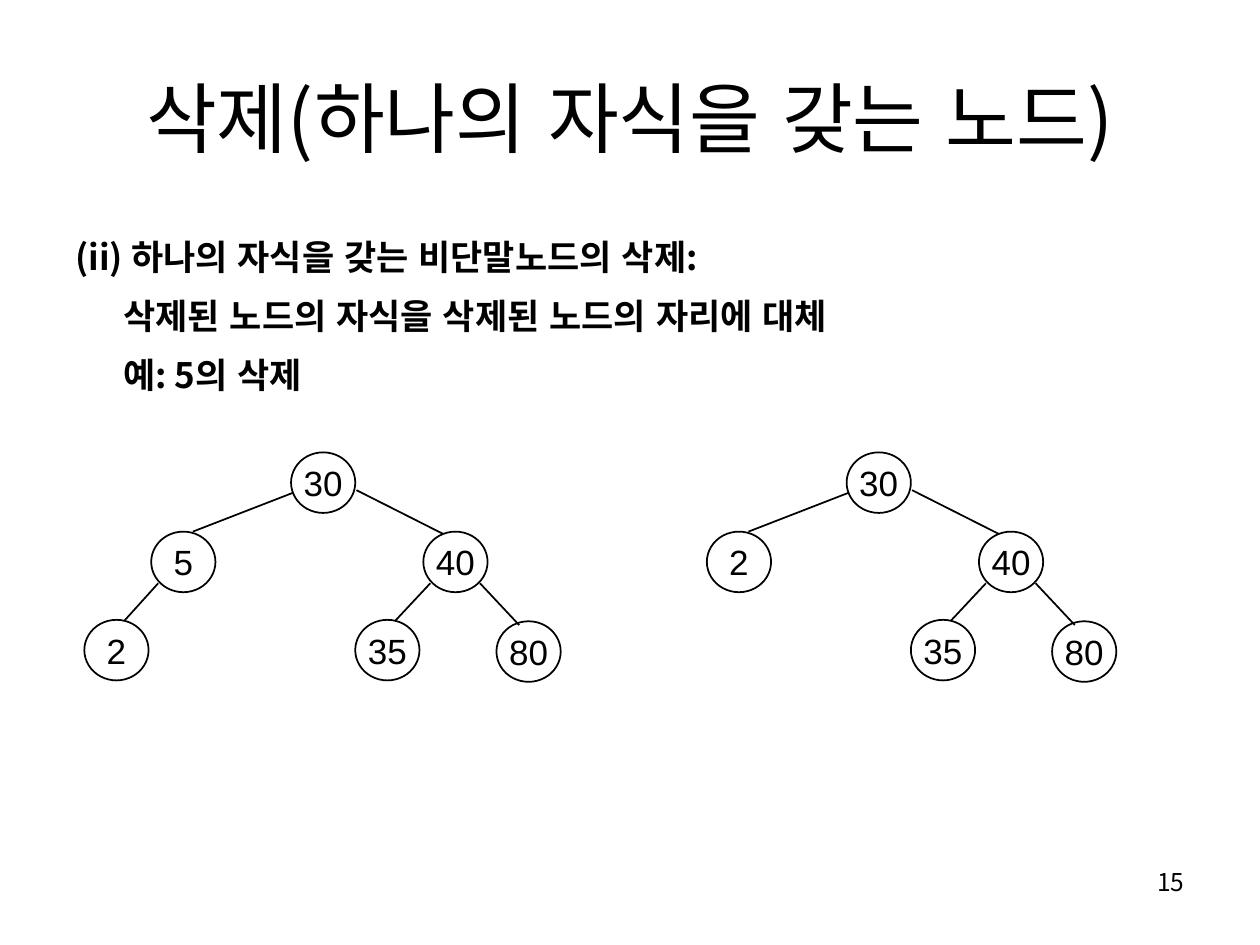
from lxml import etree
from pptx import Presentation
from pptx.dml.color import RGBColor
from pptx.enum.lang import MSO_LANGUAGE_ID
from pptx.enum.shapes import MSO_CONNECTOR, MSO_SHAPE
from pptx.enum.text import MSO_ANCHOR, PP_ALIGN
from pptx.oxml.ns import qn
from pptx.util import Pt

BLACK = RGBColor(0, 0, 0)
KOREAN_FONT, NODE_FONT = "Noto Sans CJK KR", "Arial"
KOREAN = MSO_LANGUAGE_ID.KOREAN
LEFT, CENTER, RIGHT = PP_ALIGN.LEFT, PP_ALIGN.CENTER, PP_ALIGN.RIGHT
TOP, MIDDLE = MSO_ANCHOR.TOP, MSO_ANCHOR.MIDDLE
ELLIPSE, STRAIGHT = MSO_SHAPE.OVAL, MSO_CONNECTOR.STRAIGHT

TITLE = "삭제(하나의 자식을 갖는 노드)"
BODY = [
    "(ii) 하나의 자식을 갖는 비단말노드의 삭제:",
    "삭제된 노드의 자식을 삭제된 노드의 자리에 대체",
    "예: 5의 삭제",
]
PAGE_NUMBER = "15"
BODY_INDENT = 27.4

# Slots are numbered as in a heap: the parent of slot n is n // 2.
TREES = [
    {1: "30", 2: "5", 3: "40", 4: "2", 6: "35", 7: "80"},
    {1: "30", 2: "2", 3: "40", 6: "35", 7: "80"},
]
TREE_STEP = 317.5
NODE_W, NODE_H = 36.7, 34.6
SLOT_POS = {1: (166.3, 258.5), 2: (86.4, 303.8), 3: (241.9, 303.8),
            4: (48.2, 354.2), 6: (203, 354.2), 7: (283.7, 355)}
# (parent is root, child is on the right): offsets within parent and child
EDGE_ENDS = {
    (True, False): ((1.4, 23), (23.8, 0)),
    (True, True): ((37.4, 21.6), (11.5, 1.4)),
    (False, False): ((4, 29.5), (22.7, 0.7)),
    (False, True): ((32.4, 29.5), (13, 2.2)),
}


def format_run(r, name, size, bold=False):
    formats = {"name": name, "size": Pt(size), "bold": bold}
    if name == KOREAN_FONT:
        formats["language_id"] = KOREAN
    for key, value in formats.items():
        setattr(r.font, key, value)
    r.font.color.rgb = BLACK
    etree.SubElement(r.font._element, qn("a:ea")).set("typeface", name)


def add_text(s, box, lines, size, align=LEFT, anchor=TOP, bold=False):
    tf = s.shapes.add_textbox(*map(Pt, box)).text_frame
    tf.word_wrap, tf.vertical_anchor = True, anchor
    for i, line in enumerate(lines):
        p = tf.add_paragraph() if i else tf.paragraphs[0]
        p.alignment = align
        r = p.add_run()
        r.text = line
        format_run(r, KOREAN_FONT, size, bold)
    return tf


def add_node(group, x, y, label):
    sp = group.shapes.add_shape(ELLIPSE, Pt(x), Pt(y), Pt(NODE_W), Pt(NODE_H))
    sp.shadow.inherit = False
    sp.fill.background()
    sp.line.color.rgb, sp.line.width = BLACK, Pt(1)
    tf = sp.text_frame
    tf.word_wrap, tf.vertical_anchor = False, MIDDLE
    p = tf.paragraphs[0]
    p.alignment = CENTER
    r = p.add_run()
    r.text = label
    format_run(r, NODE_FONT, 20)


def add_edge(group, start, end):
    line = group.shapes.add_connector(STRAIGHT, *map(Pt, start + end))
    line.line.color.rgb, line.line.width = BLACK, Pt(1)
    etree.SubElement(line._element.spPr, qn("a:effectLst"))


def add_tree(s, labels, dx):
    group = s.shapes.add_group_shape()
    for slot, label in labels.items():
        x, y = SLOT_POS[slot]
        add_node(group, x + dx, y, label)
        parent = slot // 2
        if parent:
            px, py = SLOT_POS[parent]
            (ax, ay), (bx, by) = EDGE_ENDS[parent == 1, slot % 2 == 1]
            add_edge(group, (px + ax + dx, py + ay), (x + bx + dx, y + by))


def main():
    prs = Presentation()
    prs.slide_width, prs.slide_height = Pt(720), Pt(540)
    s = prs.slides.add_slide(prs.slide_layouts[6])
    add_text(s, (516, 492, 168, 37.5), [PAGE_NUMBER], 14, RIGHT)
    add_text(s, (36, 21.6, 648, 90), [TITLE], 44, CENTER, MIDDLE)
    body = add_text(s, (36, 126, 648, 356.4), BODY, 20, bold=True)
    for i, p in enumerate(body.paragraphs):
        p.line_spacing = 1.2
        p.space_before = Pt(5 if i else 0)
        pPr = p._p.get_or_add_pPr()
        pPr.set("marL", str(Pt(BODY_INDENT)))
        pPr.set("indent", str(0 if i else -Pt(BODY_INDENT)))
    for i, labels in enumerate(TREES):
        add_tree(s, labels, i * TREE_STEP)
    prs.save("out.pptx")


if __name__ == "__main__":
    main()
